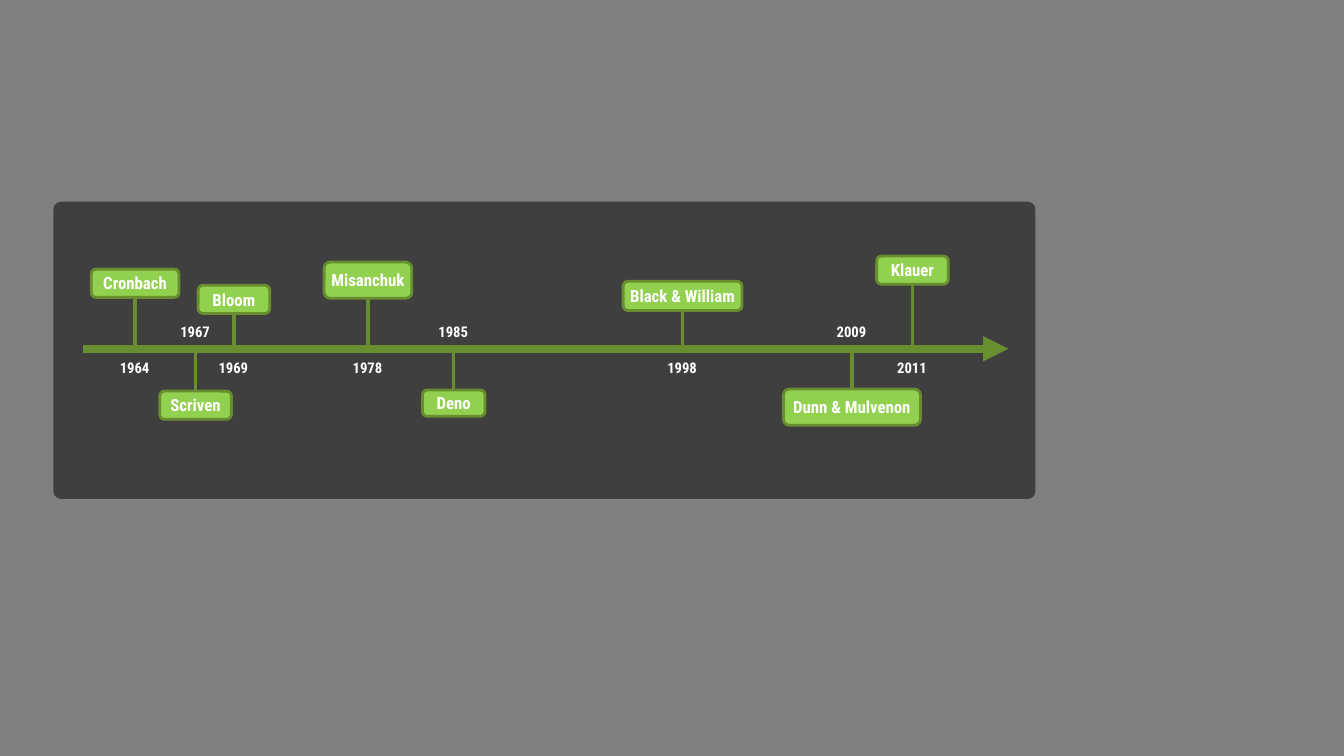
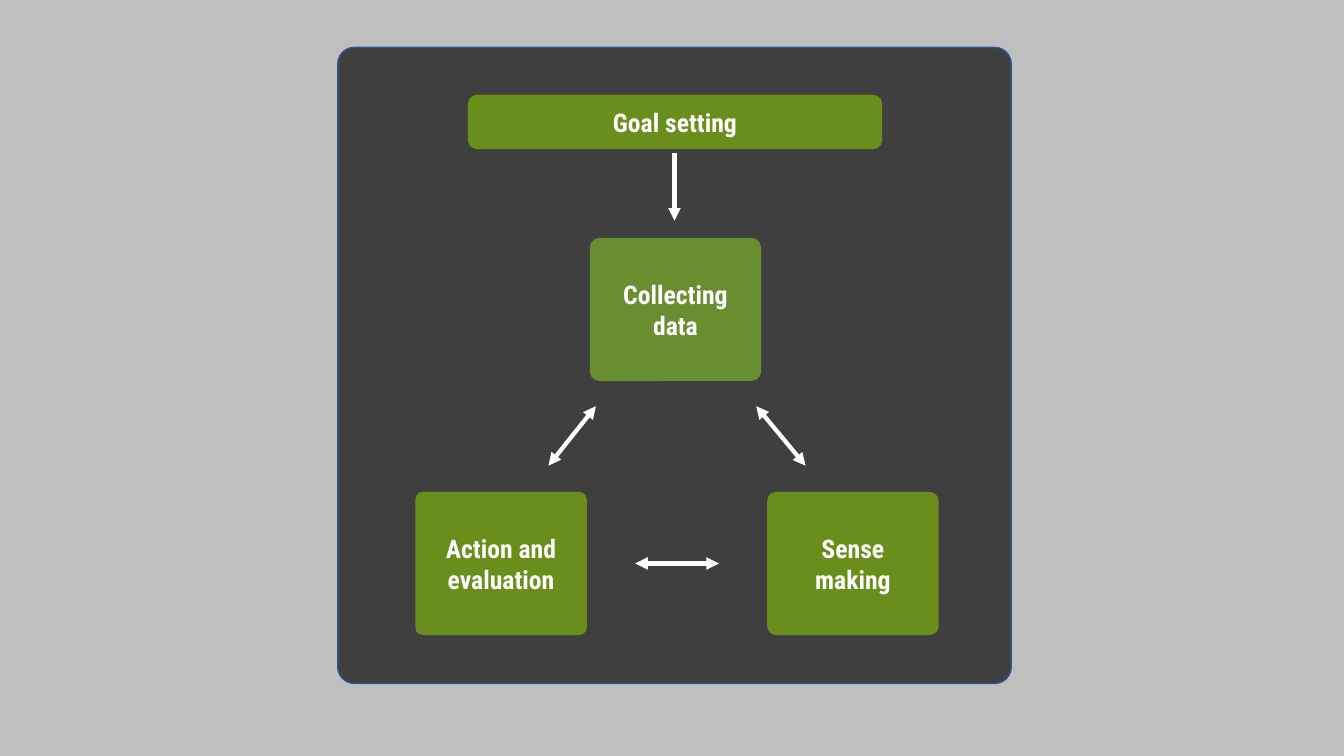
from dataclasses import dataclass

from lxml import etree
from pptx import Presentation
from pptx import util as u
from pptx.dml.color import RGBColor
from pptx.enum import shapes, text
from pptx.oxml import ns


@dataclass(frozen=True)
class Theme:
    font: str = "Roboto Condensed"
    white: str = "FFFFFF"
    panel: str = "3F3F3F"
    panel_edge: str = "31538F"
    green: str = "698E30"
    label: str = "92D050"
    lime: str = "8CD000"
    timeline_back: str = "808080"
    cycle_back: str = "BFBFBF"
    year_size: float = 10.5
    label_size: float = 12
    step_size: float = 18.3
    panel_corner: float = 0.026
    label_corner: float = 0.167


THEME = Theme()
TIMELINE_BOX = (0.53, 2, 9.74, 2.95)
CYCLE_BOX = (3.35, 0.47, 6.68, 6.31)

EVENTS = [
    ("1967", "Scriven", 1.41, 1.88, 0.71, 0.28),
    ("1969", "Bloom", 1.79, 0.83, 0.71, 0.28),
    ("1998", "Black & William", 6.24, 0.79, 1.18, 0.29),
    ("1978", "Misanchuk", 3.12, 0.6, 0.87, 0.36),
    ("2009", "Dunn & Mulvenon", 7.92, 1.86, 1.36, 0.36),
    ("1985", "Deno", 3.97, 1.87, 0.62, 0.26),
    ("2011", "Klauer", 8.52, 0.54, 0.71, 0.28),
    ("1964", "Cronbach", 0.81, 0.67, 0.87, 0.28),
]

STEPS = [
    (["Goal setting"], (1.29, 0.47, 4.11, 0.54), 0.167, THEME.lime, 55),
    (["Action and", "evaluation"], (0.77, 4.41, 1.7, 1.42), 0.051, THEME.lime, 55),
    (["Collecting", "data"], (2.5, 1.89, 1.7, 1.42), 0.068, THEME.green, 100),
    (["Sense", "making"], (4.26, 4.41, 1.7, 1.42), 0.061, THEME.lime, 55),
]

CYCLE_ARROWS = [
    ((3.34, 1.05), (3.34, 1.72), ["tailEnd"]),
    ((2.56, 3.56), (2.09, 4.15), ["headEnd", "tailEnd"]),
    ((4.15, 3.56), (4.64, 4.15), ["headEnd", "tailEnd"]),
    ((2.95, 5.12), (3.78, 5.12), ["headEnd", "tailEnd"]),
]


def set_format(target, formats):
    for name, value in formats.items():
        setattr(target, name, value)


def inches(*lengths):
    return [u.Inches(length) for length in lengths]


def add_slide(presentation, colour):
    slide = presentation.slides.add_slide(presentation.slide_layouts[6])
    fill = slide.background.fill
    fill.solid()
    fill.fore_color.rgb = RGBColor.from_string(colour)
    return slide


def write_text(shape, lines, size, insets):
    frame = shape.text_frame
    side, end = inches(*insets)
    set_format(frame, {
        "word_wrap": True,
        "vertical_anchor": text.MSO_ANCHOR.MIDDLE,
        "margin_left": side,
        "margin_right": side,
        "margin_top": end,
        "margin_bottom": end,
    })
    frame.text = "\n".join(lines)
    for paragraph in frame.paragraphs:
        paragraph.alignment = text.PP_ALIGN.CENTER
        font = paragraph.runs[0].font
        set_format(font, {"name": THEME.font, "size": u.Pt(size), "bold": True})
        font.color.rgb = RGBColor.from_string(THEME.white)


def add_box(slide, box, corner, colour, edge=None, edge_width=1, opacity=100):
    shape = slide.shapes.add_shape(shapes.MSO_SHAPE.ROUNDED_RECTANGLE, *inches(*box))
    shape.shadow.inherit = False
    shape.adjustments[0] = corner
    shape.fill.solid()
    shape.fill.fore_color.rgb = RGBColor.from_string(colour)
    if opacity < 100:
        fill_colour = shape.element.spPr.find(".//" + ns.qn("a:srgbClr"))
        etree.SubElement(fill_colour, ns.qn("a:alpha"), val=str(opacity * 1000))
    if edge:
        shape.line.color.rgb = RGBColor.from_string(edge)
        shape.line.width = u.Pt(edge_width)
    else:
        shape.line.fill.background()
    return shape


def add_line(slide, start, end, colour, width, arrowheads=()):
    connector = slide.shapes.add_connector(
        shapes.MSO_CONNECTOR.STRAIGHT, *inches(*start, *end))
    connector.line.color.rgb = RGBColor.from_string(colour)
    connector.line.width = u.Pt(width)
    properties = connector.element.spPr
    outline = properties.find(ns.qn("a:ln"))
    for arrowhead in arrowheads:
        etree.SubElement(outline, ns.qn("a:" + arrowhead), type="triangle")
    etree.SubElement(properties, ns.qn("a:effectLst"))


def add_event(slide, axis, x, year, name, top, width, height):
    above = top < axis
    edge = top + height if above else top
    add_line(slide, (x, axis), (x, edge), THEME.green, 2.5)
    year_top = axis + 0.1 if above else axis - 0.26
    year_box = slide.shapes.add_textbox(*inches(x - 0.29, year_top, 0.57, 0.18))
    write_text(year_box, [year], THEME.year_size, (0, 0))
    year_box.text_frame.auto_size = text.MSO_AUTO_SIZE.SHAPE_TO_FIT_TEXT
    label = add_box(slide, (x - width / 2, top, width, height), THEME.label_corner,
                    THEME.label, THEME.green, 2)
    write_text(label, [name], THEME.label_size, (0, 0))


def build_timeline(presentation, box):
    left, top, width, height = box
    slide = add_slide(presentation, THEME.timeline_back)
    add_box(slide, box, THEME.panel_corner, THEME.panel)
    axis = top + 1.46
    add_line(slide, (left + 0.29, axis), (left + width - 0.27, axis),
             THEME.green, 6, ["tailEnd"])
    for year, name, x, label_top, label_width, label_height in EVENTS:
        add_event(slide, axis, left + x, year, name, top + label_top,
                  label_width, label_height)


def build_cycle(presentation, box):
    left, top = box[:2]
    slide = add_slide(presentation, THEME.cycle_back)
    add_box(slide, box, THEME.panel_corner, THEME.panel, THEME.panel_edge)
    for lines, (x, y, width, height), corner, colour, opacity in STEPS:
        step = add_box(slide, (left + x, top + y, width, height), corner,
                       colour, opacity=opacity)
        write_text(step, lines, THEME.step_size, (0.1, 0.05))
    for start, end, arrowheads in CYCLE_ARROWS:
        start, end = [(left + x, top + y) for x, y in (start, end)]
        add_line(slide, start, end, THEME.white, 3, arrowheads)


def main():
    presentation = Presentation()
    set_format(presentation, {
        "slide_width": u.Inches(13.33),
        "slide_height": u.Inches(7.5),
    })
    build_timeline(presentation, TIMELINE_BOX)
    build_cycle(presentation, CYCLE_BOX)
    presentation.save("out.pptx")


if __name__ == "__main__":
    main()
